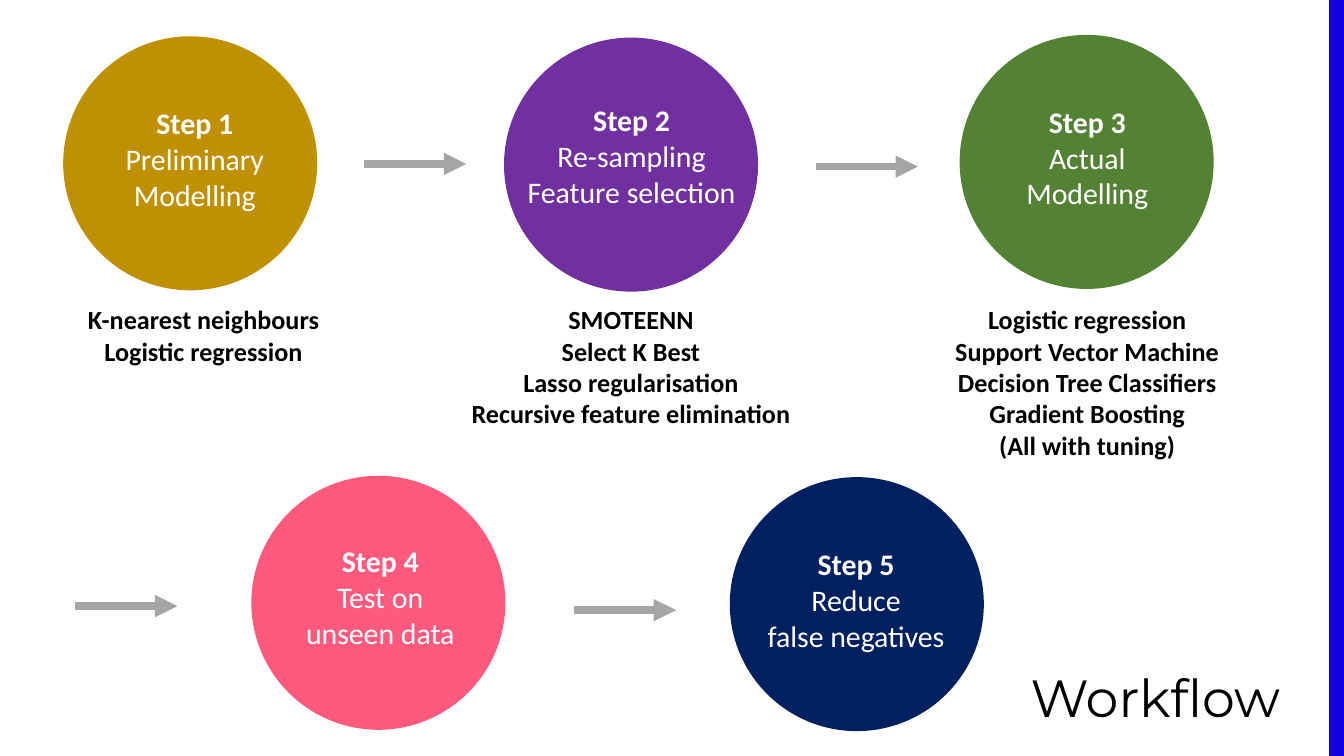
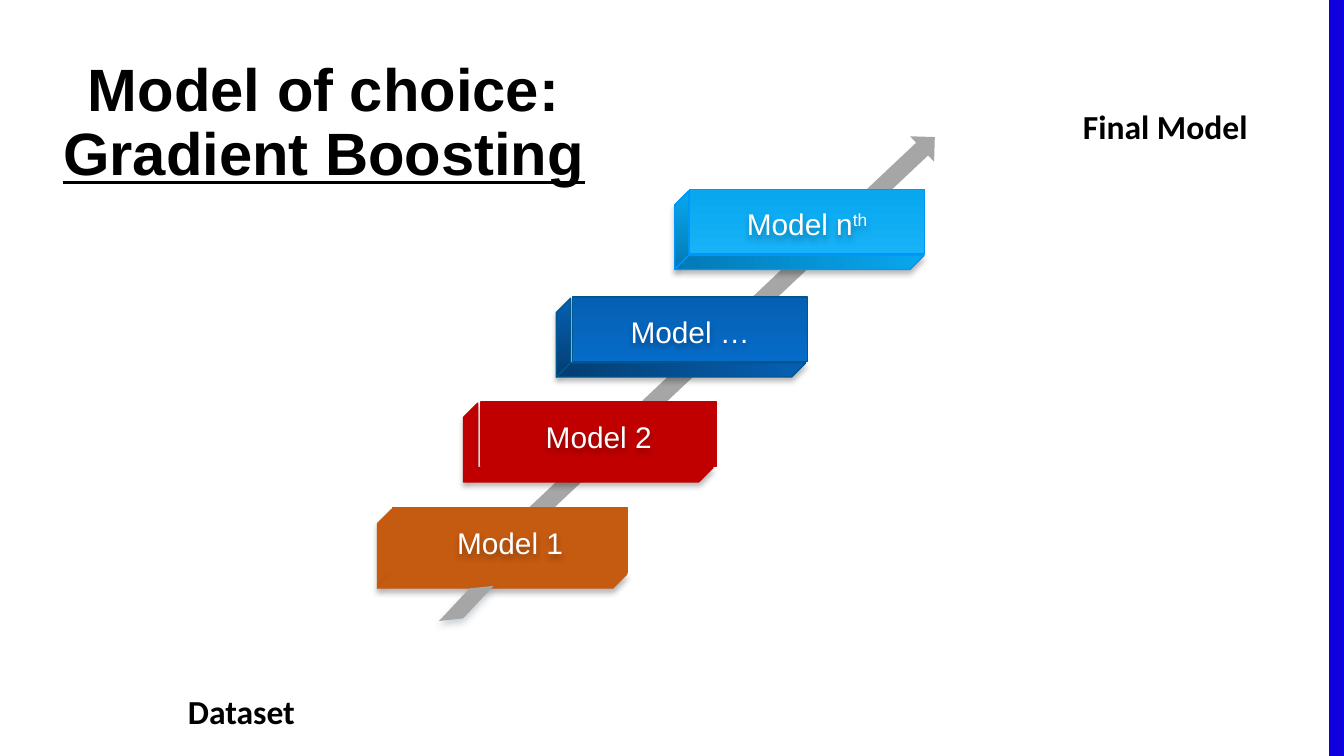
from lxml import etree
from pptx import Presentation
from pptx.dml.color import RGBColor
from pptx.enum.shapes import MSO_CONNECTOR, MSO_SHAPE
from pptx.enum.text import MSO_ANCHOR, PP_ALIGN
from pptx.oxml.ns import qn
from pptx.util import Inches, Pt

RECT, OVAL, DOWN_ARROW = MSO_SHAPE.RECTANGLE, MSO_SHAPE.OVAL, MSO_SHAPE.DOWN_ARROW
STRAIGHT = MSO_CONNECTOR.STRAIGHT
LEFT, CENTER = PP_ALIGN.LEFT, PP_ALIGN.CENTER
TOP, MIDDLE = MSO_ANCHOR.TOP, MSO_ANCHOR.MIDDLE

# Grid of square cells: 100 columns by 56.25 rows
SLIDE_W, SLIDE_H = Inches(10), Inches(5.625)
COLS, ROWS = 100, 56.25
CELL = SLIDE_W / COLS

BLACK, WHITE, BAND = "000000", "FFFFFF", "1000E0"
ARROW, RAMP, RAMP_SHADOW = "A5A5A5", "A6A6A6", "44546A"
BODY, HEAD, LABEL = "Calibri", "Montserrat", "Arial"

CIRCLE, STEP_W = 18.9, 22
FACE_W, FACE_H, DEPTH = 17.5, 4.8, 1.05

# Circle corner, label corner, colour, label lines
STEPS = [
    ((4.7, 2.7), (3.5, 7.3), "BF9000", ["Step 1", "Preliminary", "Modelling"]),
    ((37.5, 2.8), (36, 7.1), "7030A0", ["Step 2", "Re-sampling", "Feature selection"]),
    ((71.4, 2.6), (69.9, 7.2), "548235", ["Step 3", "Actual", "Modelling"]),
    ((18.7, 35.4), (17.3, 39.9), "FF597E", ["Step 4", "Test on", "unseen data"]),
    ((54.3, 35.5), (52.7, 40.1), "002060", ["Step 5", "Reduce", "false negatives"]),
]
# Left, width, lines
METHODS = [
    (1.6, 27.1, ["K-nearest neighbours", "Logistic regression"]),
    (31.9, 30.1, ["SMOTEENN", "Select K Best", "Lasso regularisation",
                  "Recursive feature elimination"]),
    (58.7, 44.4, ["Logistic regression", "Support Vector Machine",
                  "Decision Tree Classifiers", "Gradient Boosting", "(All with tuning)"]),
]
STEP_ARROWS = [(27.1, 12.2), (42.7, 45.4), (60.7, 12.4), (5.6, 45.1)]

# Label runs, edge left, face left, face top, face, side and base fills, outline;
# a gradient is (first colour, last colour, counter-clockwise angle)
BLOCKS = [
    (["Model n", ("th", {"raised": True})], 50.2, 51.3, 14.1, ("08A7EE", "17B2F7", 270),
     ("037AB5", "08A7EE", 90), ("037AB5", "08A7EE", 0), "0195F9"),
    (["Model …"], 41.4, 42.6, 22.1, ("0560B3", "066CC9", 270),
     ("0560B3", "043E72", 270), ("0560B3", "043E72", 180), "01568F"),
    (["Model 2"], 34.5, 35.8, 29.9, "C00000", "C00000", "C00000", "C00000"),
    (["Model 1"], 28.1, 29.2, 37.8, "C55A11", "C55A11", "C55A11", "C55A11"),
]
RAMP_FOOT = [(34.4, 46), (32.6, 46.1), (35, 43.8), (36.8, 43.7)]


def grid(*cells):
    return [round(c * CELL) for c in cells]


def rgb(color):
    return RGBColor.from_string(color)


def paint(s, fill, line=None):
    """Fill a shape with a colour or a gradient, and outline it."""
    s.shadow.inherit = False
    if isinstance(fill, str):
        s.fill.solid()
        s.fill.fore_color.rgb = rgb(fill)
    else:
        *colors, angle = fill
        s.fill.gradient()
        s.fill.gradient_angle = angle
        for stop, color in zip(s.fill.gradient_stops, colors):
            stop.color.rgb = rgb(color)
    if line:
        s.line.color.rgb = rgb(line)
        s.line.width = Pt(0.75)
    else:
        s.line.fill.background()


def cast_shadow(s, color=BLACK, blur=3):
    s.shadow.inherit = False
    effects = s._element.spPr.find(qn("a:effectLst"))
    shadow = etree.SubElement(effects, qn("a:outerShdw"), blurRad=str(Pt(blur)),
                              dist=str(Pt(2)), dir="5400000", algn="t", rotWithShape="0")
    tint = etree.SubElement(shadow, qn("a:srgbClr"), val=color)
    etree.SubElement(tint, qn("a:alpha"), val="27000")


def add_preset(slide, kind, box, fill, line=None):
    s = slide.shapes.add_shape(kind, *grid(*box))
    paint(s, fill, line)
    return s


def add_outline(slide, points, fill, line=None):
    start, *rest = [grid(*pt) for pt in points]
    builder = slide.shapes.build_freeform(*start)
    builder.add_line_segments(rest, close=True)
    s = builder.convert_to_shape()
    paint(s, fill, line)
    return s


def add_run(p, part):
    text, style = (part, {}) if isinstance(part, str) else part
    if text == "\n":
        p.add_line_break()
        return
    r = p.add_run()
    r.text = text
    if "underline" in style:
        r.font.underline = True
    if "raised" in style:
        r.font._element.set("baseline", "30000")


def add_text(slide, box, paragraphs, size, font, color=BLACK, bold=False,
             align=LEFT, anchor=TOP, spacing=None, inset=None):
    """Each paragraph is a list of runs; a run is text or (text, style)."""
    s = slide.shapes.add_textbox(*grid(*box))
    tf = s.text_frame
    tf.word_wrap = True
    tf.vertical_anchor = anchor
    if inset is not None:
        tf.margin_left = tf.margin_right = tf.margin_top = tf.margin_bottom = inset
    for i, parts in enumerate(paragraphs):
        p = tf.add_paragraph() if i else tf.paragraphs[0]
        p.alignment, p.line_spacing = align, spacing
        p.font.size, p.font.name, p.font.bold = Pt(size), font, bold
        p.font.color.rgb = rgb(color)
        for part in parts:
            add_run(p, part)
    return s


def add_title(slide, box, parts, size, font, **style):
    add_text(slide, box, [parts], size, font, anchor=MIDDLE, spacing=0.9, **style)


def add_arrow(slide, x, y, length=7.6):
    c = slide.shapes.add_connector(STRAIGHT, *grid(x, y, x + length, y))
    c.line.color.rgb = rgb(ARROW)
    c.line.width = Pt(4)
    etree.SubElement(c.line._get_or_add_ln(), qn("a:tailEnd"), type="triangle")
    etree.SubElement(c._element.spPr, qn("a:effectLst"))


def add_step(slide, corner, label, color, lines):
    add_preset(slide, OVAL, (*corner, CIRCLE, CIRCLE), color)
    s = add_text(slide, (*label, STEP_W, 9.1), [[t] for t in lines], 16, BODY, WHITE,
                 align=CENTER)
    s.text_frame.paragraphs[0].font.bold = True


def add_block(slide, label, edge, left, top, face, side, base, line):
    """A front face with its left side and its base drawn in depth."""
    inner, right = edge + DEPTH, edge + DEPTH + FACE_W
    upper, lower = top + 0.1, top + 0.1 + FACE_H
    side_points = [(edge, lower + DEPTH), (inner, lower), (inner, upper),
                   (edge, upper + DEPTH)]
    base_points = [(inner, lower), (edge, lower + DEPTH),
                   (right - DEPTH, lower + DEPTH), (right, lower)]
    for points, fill in ((side_points, side), (base_points, base)):
        cast_shadow(add_outline(slide, points, fill, line))
    add_preset(slide, RECT, (left, top, FACE_W, FACE_H), face, line)
    s = add_text(slide, (left - 0.5, top + 1.2, FACE_W + 1, 2.7), [label], 16, LABEL,
                 WHITE, align=CENTER, anchor=MIDDLE, inset=0)
    cast_shadow(s)


def new_slide(prs):
    slide = prs.slides.add_slide(prs.slide_layouts[6])
    add_preset(slide, RECT, (98.9, 0, 1.4, ROWS), BAND)
    return slide


def workflow_slide(prs):
    slide = new_slide(prs)
    add_title(slide, (75.7, 47.2, 27.5, 9.9), ["Workflow"], 28, HEAD)
    for left, width, lines in METHODS:
        add_text(slide, (left, 22.1, width, 1 + 2.36 * len(lines)), [[t] for t in lines],
                 14, BODY, bold=True, align=CENTER)
    for step in STEPS:
        add_step(slide, *step)
    for x, y in STEP_ARROWS:
        add_arrow(slide, x, y)


def boosting_slide(prs):
    slide = new_slide(prs)
    # Rising arrow behind the blocks
    ramp = add_preset(slide, DOWN_ARROW, (50.9, 2.7, 2.6, 47.7), RAMP)
    ramp.rotation = 226.7
    add_title(slide, (-19, 3.8, 86.2, 10.9),
              ["Model of choice:", "\n", ("Gradient Boosting", {"underline": True})],
              32, LABEL, bold=True, align=CENTER)
    for block in BLOCKS:
        add_block(slide, *block)
    foot = add_outline(slide, RAMP_FOOT, RAMP)
    foot.rotation = 357
    cast_shadow(foot, RAMP_SHADOW, 4)
    # Ends of the ramp
    for x, y, text in ((13, 50.9, "Dataset"), (79.6, 7.4, "Final Model")):
        add_text(slide, (x, y, 15.3, 4), [[text]], 18, BODY, bold=True)


def main():
    prs = Presentation()
    prs.slide_width, prs.slide_height = SLIDE_W, SLIDE_H
    workflow_slide(prs)
    boosting_slide(prs)
    prs.save("out.pptx")


if __name__ == "__main__":
    main()
